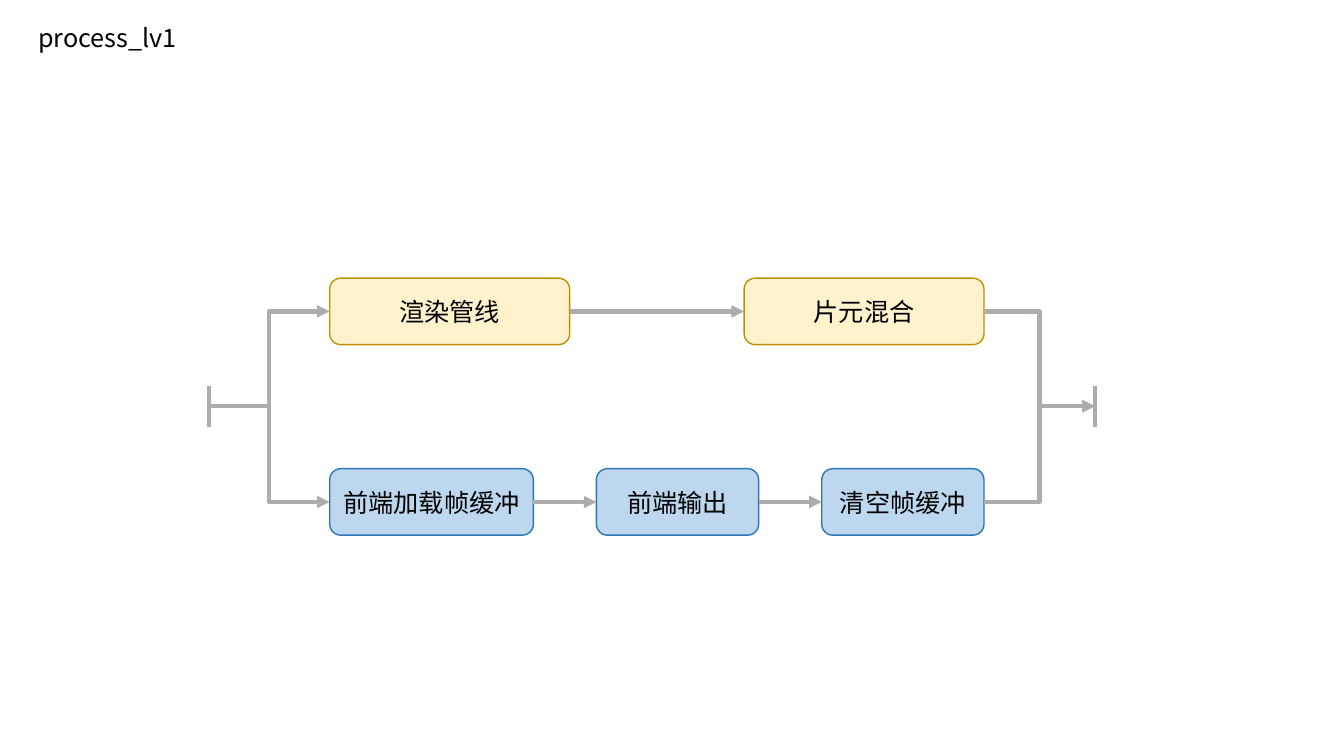
from dataclasses import dataclass

from lxml.etree import SubElement
from pptx import Presentation
from pptx.dml.color import RGBColor
from pptx.enum.shapes import MSO_CONNECTOR, MSO_SHAPE
from pptx.enum.text import MSO_ANCHOR, PP_ALIGN
from pptx.oxml.ns import qn
from pptx.util import Pt

# Content: each lane is (steps as (label, width), top, fill, outline)
TITLE = "process_lv1"
LANES = [
    ([("渲染管线", 238), ("片元混合", 238)], 276, "FFF2CC", "BF9000"),
    ([("前端加载帧缓冲", 202), ("前端输出", 161), ("清空帧缓冲", 161)],
     465, "BDD7EE", "2E75B6"),
]


@dataclass(frozen=True)
class Theme:
    font: str = "Noto Sans CJK SC"
    text: str = "000000"
    flow: str = "AFABAB"
    size: int = 18
    flow_width: int = 3
    outline_width: int = 1


THEME = Theme()

# Layout in px, 100 to the inch
PX = 9144
SLIDE_W, SLIDE_H = 1333, 750
LANE_LEFT, LANE_RIGHT, STEP_H = 327, 976, 66
START_X, END_X, BAR_H = 207, 1086, 41
MIDDLE_Y = (LANES[0][1] + LANES[1][1] + STEP_H) // 2

LEFT_SITE, RIGHT_SITE = 1, 3


def emu(*lengths):
    return [round(length * PX) for length in lengths]


def write(frame, text, *, align=PP_ALIGN.LEFT, anchor=MSO_ANCHOR.TOP, wrap=True):
    frame.word_wrap = wrap
    frame.vertical_anchor = anchor
    paragraph = frame.paragraphs[0]
    paragraph.alignment = align
    run = paragraph.add_run()
    run.text = text
    run.font.size = Pt(THEME.size)
    run.font.color.rgb = RGBColor.from_string(THEME.text)
    run.font.name = THEME.font
    SubElement(run.font._element, qn("a:ea")).set("typeface", THEME.font)


def add_step(slide, label, left, top, width, fill, outline):
    step = slide.shapes.add_shape(
        MSO_SHAPE.ROUNDED_RECTANGLE, *emu(left, top, width, STEP_H))
    step.shadow.inherit = False
    step.fill.solid()
    step.fill.fore_color.rgb = RGBColor.from_string(fill)
    step.line.color.rgb = RGBColor.from_string(outline)
    step.line.width = Pt(THEME.outline_width)
    write(step.text_frame, label, align=PP_ALIGN.CENTER, anchor=MSO_ANCHOR.MIDDLE)
    return step


def add_flow(slide, start, end, *, bend=MSO_CONNECTOR.STRAIGHT, arrow=True,
             source=None, target=None):
    flow = slide.shapes.add_connector(bend, *emu(*start, *end))
    if source is not None:
        flow.begin_connect(source, RIGHT_SITE)
    if target is not None:
        flow.end_connect(target, LEFT_SITE)
    flow.line.color.rgb = RGBColor.from_string(THEME.flow)
    flow.line.width = Pt(THEME.flow_width)
    if arrow:
        SubElement(flow.line._get_or_add_ln(), qn("a:tailEnd")).set("type", "triangle")
    SubElement(flow._element.spPr, qn("a:effectLst"))


def add_lane(slide, steps, top, fill, outline):
    # Steps spread evenly from the left to the right edge of the lane
    free = LANE_RIGHT - LANE_LEFT - sum(width for _, width in steps)
    gap = free / (len(steps) - 1)
    center_y = top + STEP_H // 2
    left, previous = LANE_LEFT, None
    for label, width in steps:
        step = add_step(slide, label, left, top, width, fill, outline)
        if previous is None:
            add_flow(slide, (START_X, MIDDLE_Y), (left, center_y),
                     bend=MSO_CONNECTOR.ELBOW, target=step)
        else:
            add_flow(slide, (left - gap, center_y), (left, center_y),
                     source=previous, target=step)
        left, previous = left + width + gap, step
    add_flow(slide, (LANE_RIGHT, center_y), (END_X, MIDDLE_Y),
             bend=MSO_CONNECTOR.ELBOW, source=previous)


def main():
    deck = Presentation()
    deck.slide_width, deck.slide_height = emu(SLIDE_W, SLIDE_H)
    slide = deck.slides.add_slide(deck.slide_layouts[6])

    # Title
    title = slide.shapes.add_textbox(*emu(28, 17, 170, 40))
    write(title.text_frame, TITLE, wrap=False)

    # Lanes with their flows
    for lane in LANES:
        add_lane(slide, *lane)

    # Start and end bars
    for x in (START_X, END_X):
        bar_top = MIDDLE_Y - BAR_H / 2
        add_flow(slide, (x, bar_top), (x, bar_top + BAR_H), arrow=False)

    deck.save("out.pptx")


if __name__ == "__main__":
    main()
